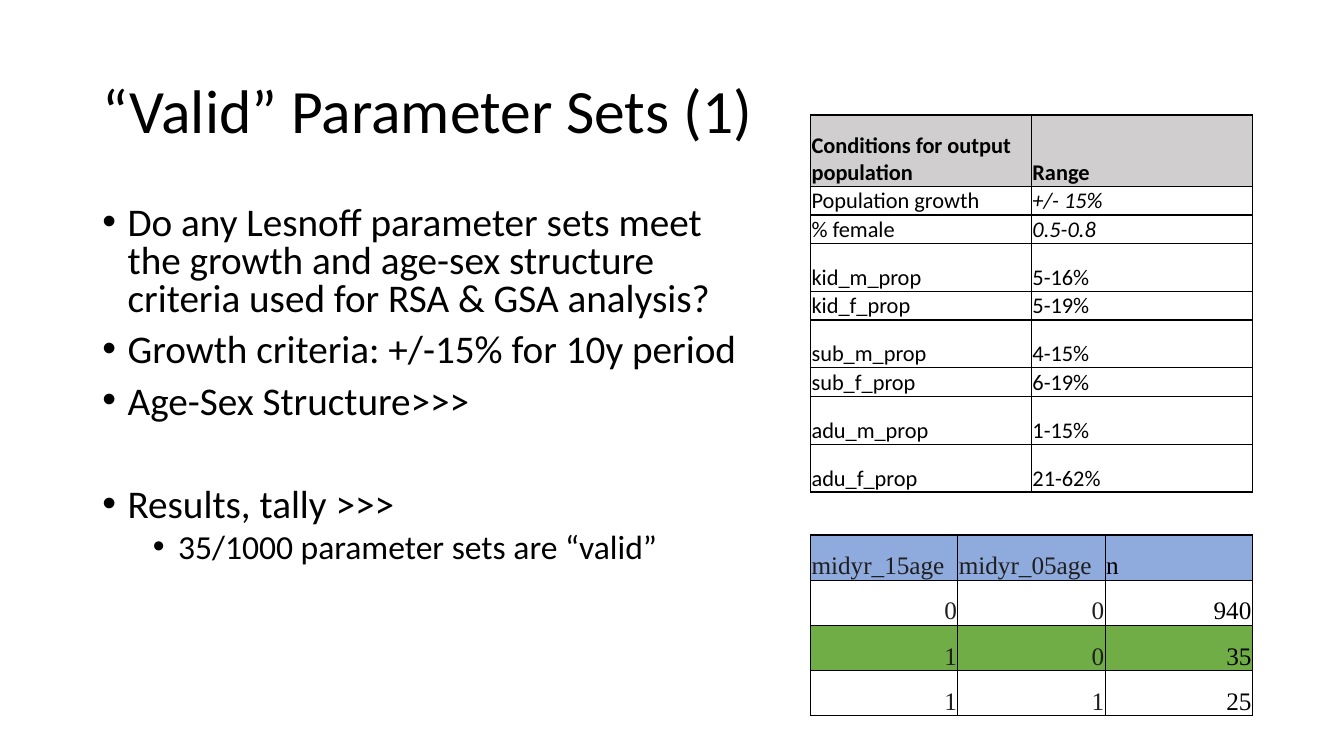
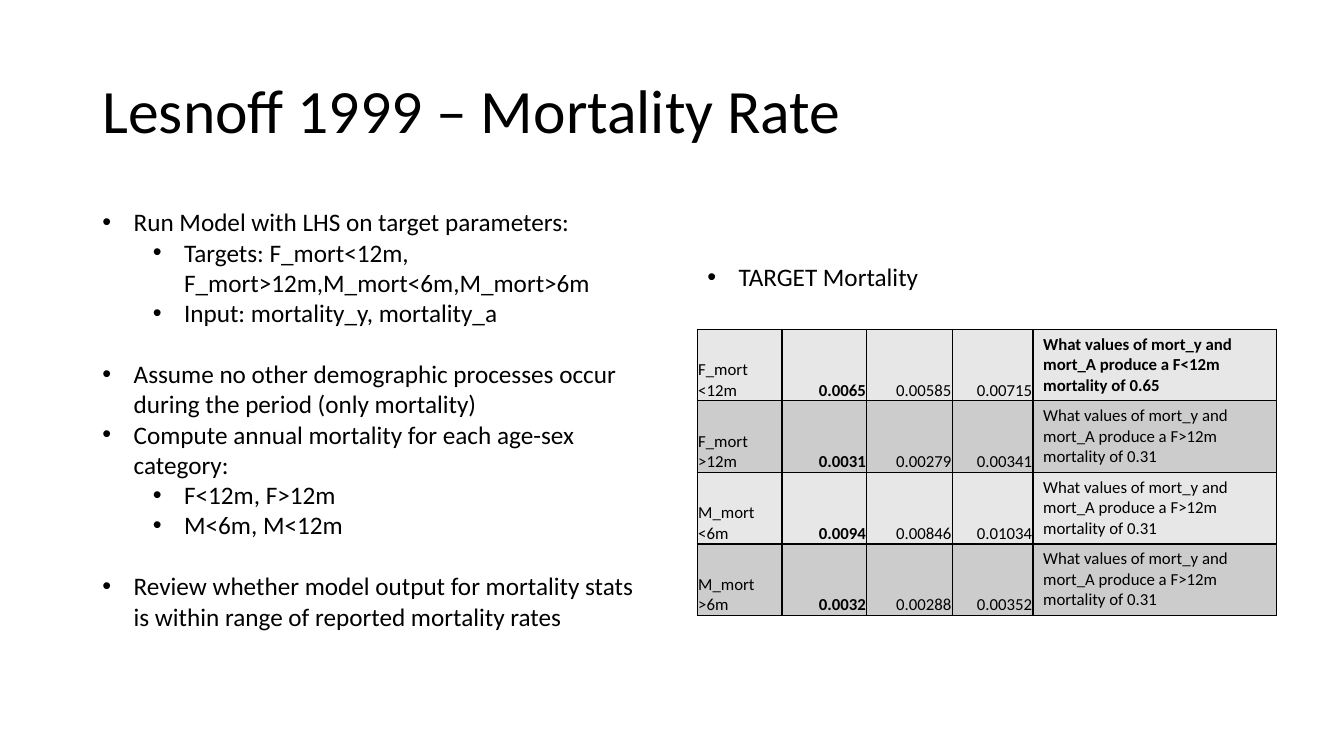
from lxml.etree import SubElement
from pptx import Presentation
from pptx.dml.color import RGBColor
from pptx.enum.text import MSO_ANCHOR, MSO_AUTO_SIZE, PP_ALIGN
from pptx.oxml import parse_xml
from pptx.oxml.ns import nsdecls, qn
from pptx.util import Inches, Pt

COLORS = {
    "black": "000000",
    "ink": "1F1F1F",
    "white": "FFFFFF",
    "header_gray": "D0CECE",
    "header_blue": "8FAADC",
    "valid_green": "70AD47",
    "light_band": "E7E7E7",
    "dark_band": "CCCCCC",
}
BODY_FONT = "Calibri"
TALLY_FONT = "Times New Roman"

GRID_COLUMNS, GRID_ROWS = 160, 90
UNIT = Inches(13.333) / GRID_COLUMNS
TITLE_BOX = (11, 4.8, 138, 17.4)
TALL_ROW, MEDIUM_ROW, SHORT_ROW = 8.5, 5.7, 3.4

CONDITIONS = [
    ("Conditions for output population", "Range", TALL_ROW),
    ("Population growth", "+/- 15%", SHORT_ROW),
    ("% female", "0.5-0.8", SHORT_ROW),
    ("kid_m_prop", "5-16%", MEDIUM_ROW),
    ("kid_f_prop", "5-19%", SHORT_ROW),
    ("sub_m_prop", "4-15%", MEDIUM_ROW),
    ("sub_f_prop", "6-19%", SHORT_ROW),
    ("adu_m_prop", "1-15%", MEDIUM_ROW),
    ("adu_f_prop", "21-62%", MEDIUM_ROW),
]
TALLY = [
    ("midyr_15age", "midyr_05age", "n"),
    ("0", "0", "940"),
    ("1", "0", "35"),
    ("1", "1", "25"),
]
QUESTION = "What values of mort_y and mort_A produce a {} mortality of {}"
MORTALITY = [
    ("F_mort <12m", "0.0065", "0.00585", "0.00715", QUESTION.format("F<12m", "0.65")),
    ("F_mort >12m", "0.0031", "0.00279", "0.00341", QUESTION.format("F>12m", "0.31")),
    ("M_mort <6m", "0.0094", "0.00846", "0.01034", QUESTION.format("F>12m", "0.31")),
    ("M_mort >6m", "0.0032", "0.00288", "0.00352", QUESTION.format("F>12m", "0.31")),
]
VALID_POINTS = [
    (0, "Do any Lesnoff parameter sets meet the growth and age-sex structure "
        "criteria used for RSA & GSA analysis?", 10),
    (0, "Growth criteria: +/-15% for 10y period", 10),
    (0, "Age-Sex Structure>>>", 10),
    (0, "Results, tally >>>", 47),
    (1, "35/1000 parameter sets are “valid”", 5),
]
MORTALITY_POINTS = [
    (0, "Run Model with LHS on target parameters:", 0),
    (1, "Targets: F_mort<12m, F_mort>12m,M_mort<6m,M_mort>6m", 0),
    (1, "Input: mortality_y, mortality_a", 0),
    (0, "Assume no other demographic processes occur during the period (only mortality)", 22),
    (0, "Compute annual mortality for each age-sex category:", 0),
    (1, "F<12m, F>12m", 0),
    (1, "M<6m, M<12m", 0),
    (0, "Review whether model output for mortality stats is within range of "
        "reported mortality rates", 22),
]


def grid(units):
    return round(units * UNIT)


def place(shape, box):
    shape.left, shape.top, shape.width, shape.height = map(grid, box)


def style_runs(paragraph, size, font=BODY_FONT, color="black", bold=False, italic=False):
    for run in paragraph.runs:
        run.font.name = font
        run.font.size = Pt(size)
        run.font.bold = bold
        run.font.italic = italic
        run.font.color.rgb = RGBColor.from_string(COLORS[color])


def fill_title(slide, text):
    title = slide.shapes.title
    place(title, TITLE_BOX)
    title.text_frame.text = text
    title.text_frame.auto_size = MSO_AUTO_SIZE.NONE
    title.text_frame.vertical_anchor = MSO_ANCHOR.MIDDLE
    paragraph = title.text_frame.paragraphs[0]
    paragraph.alignment = PP_ALIGN.LEFT
    paragraph.line_spacing = 0.9
    style_runs(paragraph, 44)


def add_bullet(paragraph, level, hanging):
    properties = paragraph._p.get_or_add_pPr()
    properties.set("marL", str(Inches(hanging + level * 0.5)))
    properties.set("indent", str(-Inches(hanging)))
    SubElement(properties, qn("a:buFont"), typeface="Arial")
    SubElement(properties, qn("a:buChar"), char="•")


def fill_list(placeholder, box, points, sizes, hanging, line_spacing=1.0):
    place(placeholder, box)
    frame = placeholder.text_frame
    frame.text = "\n".join(text for _, text, _ in points)
    frame.word_wrap = True
    frame.auto_size = MSO_AUTO_SIZE.NONE
    for paragraph, (level, _, gap) in zip(frame.paragraphs, points):
        paragraph.level = level
        paragraph.line_spacing = line_spacing
        paragraph.space_before = Pt(gap)
        add_bullet(paragraph, level, hanging)
        style_runs(paragraph, sizes[level])


def add_borders(cell):
    properties = cell._tc.get_or_add_tcPr()
    for position, side in enumerate(("lnL", "lnR", "lnT", "lnB")):
        border = parse_xml(
            f'<a:{side} {nsdecls("a")} w="{Pt(1)}"><a:solidFill>'
            f'<a:srgbClr val="{COLORS["black"]}"/></a:solidFill></a:{side}>'
        )
        properties.insert(position, border)


def fill_cell(cell, text, fill, size, align=PP_ALIGN.LEFT, tight=True, **run_style):
    cell.text_frame.text = text
    if tight:
        cell.margin_left = cell.margin_right = cell.margin_top = Inches(0.01)
        cell.margin_bottom = 0
        cell.vertical_anchor = MSO_ANCHOR.BOTTOM
    cell.fill.solid()
    cell.fill.fore_color.rgb = RGBColor.from_string(COLORS[fill])
    add_borders(cell)
    paragraph = cell.text_frame.paragraphs[0]
    paragraph.alignment = align
    style_runs(paragraph, size, **run_style)


def add_grid_table(slide, left, top, widths, heights):
    box = map(grid, (left, top, sum(widths), sum(heights)))
    table = slide.shapes.add_table(len(heights), len(widths), *box).table
    table.first_row = table.horz_banding = False
    for column, width in zip(table.columns, widths):
        column.width = grid(width)
    for row, height in zip(table.rows, heights):
        row.height = grid(height)
    return table


def add_conditions_table(slide, left, top, width):
    heights = [height for _, _, height in CONDITIONS]
    table = add_grid_table(slide, left, top, [width / 2] * 2, heights)
    for row, (condition, limits, _) in enumerate(CONDITIONS):
        header = row == 0
        fill = "header_gray" if header else "white"
        fill_cell(table.cell(row, 0), condition, fill, 16, bold=header)
        fill_cell(table.cell(row, 1), limits, fill, 16, bold=header, italic=row in (1, 2))


def add_tally_table(slide, left, top, width, height):
    table = add_grid_table(slide, left, top, [width / 3] * 3, [height / 4] * 4)
    fills = ("header_blue", "white", "valid_green", "white")
    for row, (values, fill) in enumerate(zip(TALLY, fills)):
        align = PP_ALIGN.RIGHT if row else PP_ALIGN.LEFT
        for column, value in enumerate(values):
            color = "black" if column == 2 else "ink"
            fill_cell(table.cell(row, column), value, fill, 18, align,
                      font=TALLY_FONT, color=color)


def add_mortality_table(slide, left, top):
    widths = (10.1, 10.1, 10.2, 9.6, 29)
    table = add_grid_table(slide, left, top, widths, [TALL_ROW] * len(MORTALITY))
    for row, values in enumerate(MORTALITY):
        fill = "dark_band" if row % 2 else "light_band"
        for column, value in enumerate(values):
            align = PP_ALIGN.RIGHT if column in (1, 2, 3) else PP_ALIGN.LEFT
            bold = column == 1 or (row, column) == (0, 4)
            fill_cell(table.cell(row, column), value, fill, 12, align,
                      tight=column < 4, bold=bold)


def build_valid_sets_slide(presentation):
    slide = presentation.slides.add_slide(presentation.slide_layouts[1])
    fill_title(slide, "“Valid” Parameter Sets (1)")
    fill_list(slide.placeholders[1], (11, 24, 80.3, 47.2), VALID_POINTS,
              (28, 24), 0.25, 0.8)
    add_conditions_table(slide, 96.5, 13.7, 52.6)
    add_tally_table(slide, 96.5, 63.7, 52.6, 21.5)


def build_mortality_slide(presentation):
    slide = presentation.slides.add_slide(presentation.slide_layouts[3])
    fill_title(slide, "Lesnoff 1999 – Mortality Rate")
    fill_list(slide.placeholders[1], (11, 24, 65.9, 52.1), MORTALITY_POINTS,
              (18, 18), 0.31)
    fill_list(slide.placeholders[2], (83, 30.5, 65.9, 4.8),
              [(0, "TARGET Mortality", 0)], (18,), 0.31)
    add_mortality_table(slide, 83, 39.2)


def main():
    presentation = Presentation()
    presentation.slide_width = grid(GRID_COLUMNS)
    presentation.slide_height = grid(GRID_ROWS)
    build_valid_sets_slide(presentation)
    build_mortality_slide(presentation)
    presentation.save("out.pptx")


if __name__ == "__main__":
    main()
